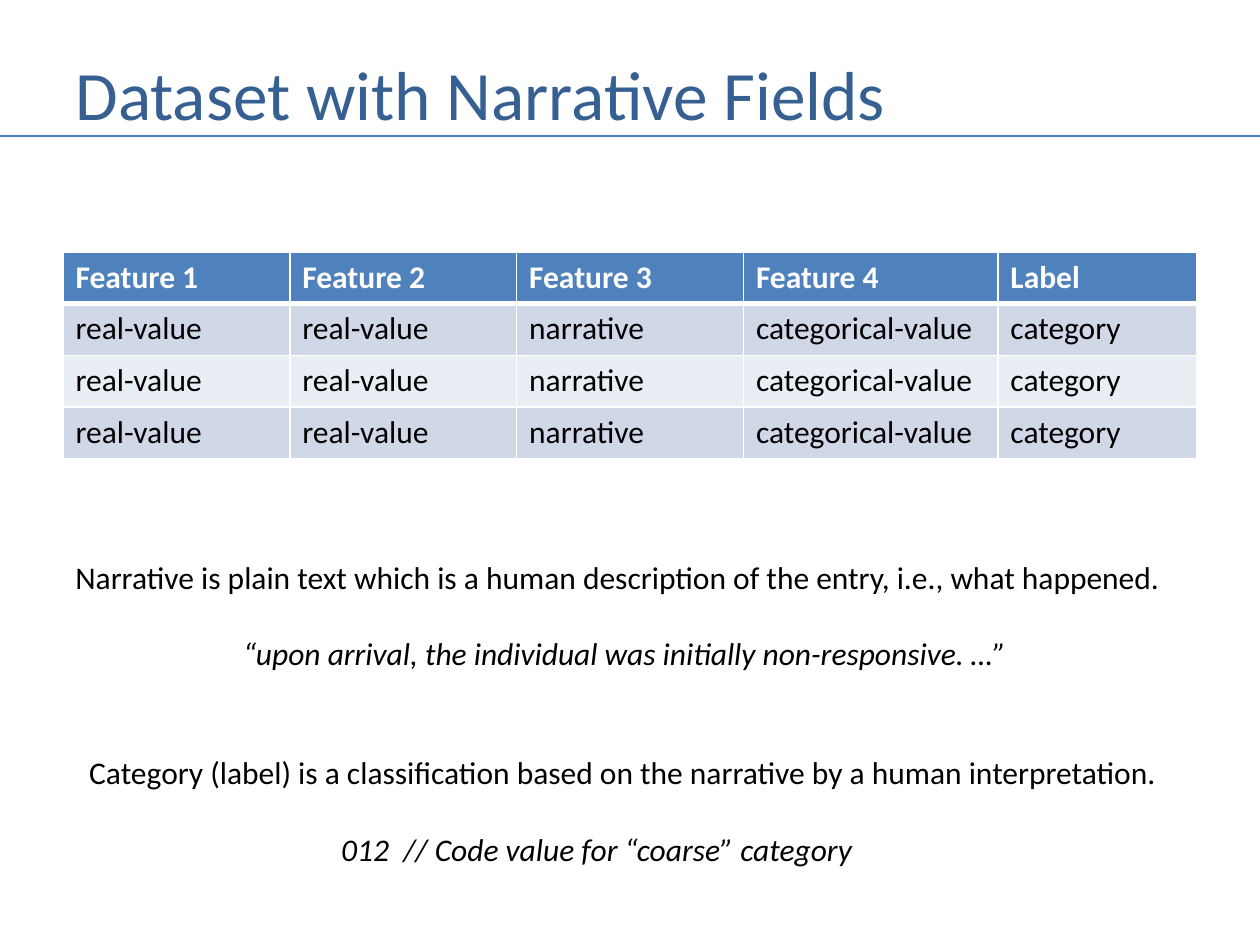
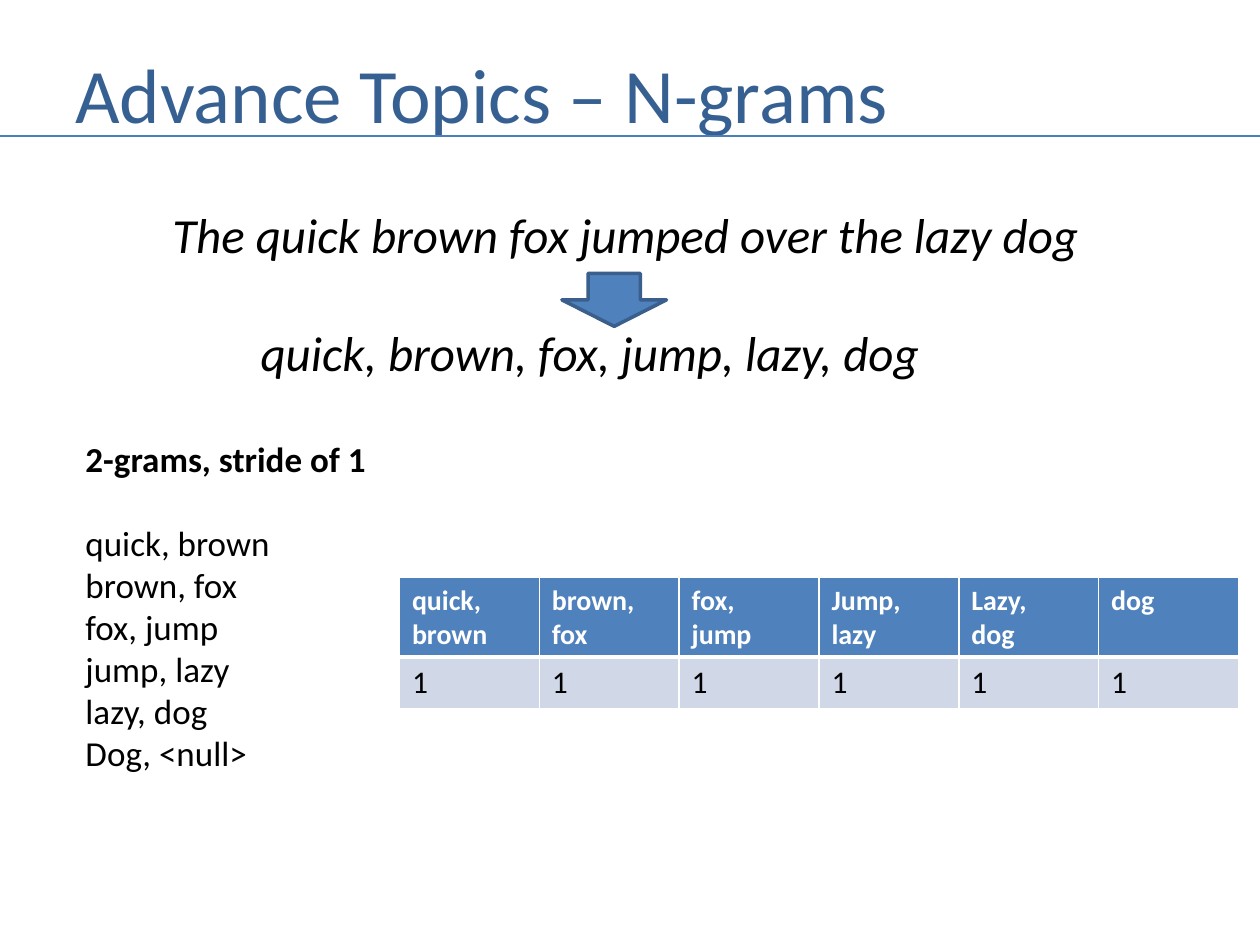
"""Build two slides on narrative fields and n-grams."""
from dataclasses import dataclass
from typing import Any

import lxml.etree
import pptx
import pptx.dml.color
import pptx.enum.shapes
import pptx.enum.text
import pptx.oxml.ns
import pptx.util

Inches = pptx.util.Inches
Pt = pptx.util.Pt
qn = pptx.oxml.ns.qn
Align = pptx.enum.text.PP_ALIGN
Anchor = pptx.enum.text.MSO_ANCHOR
Kind = pptx.enum.shapes.MSO_SHAPE
Link = pptx.enum.shapes.MSO_CONNECTOR

FONT = "Calibri"
BLACK, WHITE = "000000", "FFFFFF"
TITLE, RULE = "376092", "4B7EBC"
BLUE, EDGE = "4F81BD", "3A5F8C"
BANDS = ("D0D8E8", "E9EDF4")
ROW = 0.41


@dataclass
class Line:
    """One paragraph with its style; gap is points above, indent is inches."""
    text: str
    size: float = 18
    color: str = BLACK
    bold: bool = False
    italic: bool = False
    gap: float = 0
    indent: float = 0
    align: Any = Align.LEFT


@dataclass
class Grid:
    """A table: place, column widths, header height and size, and words."""
    left: float
    top: float
    cols: list[float]
    head: float
    size: float
    rows: list[list[str]]


def tint(code: str) -> pptx.dml.color.RGBColor:
    """Turn a hex string into a colour."""
    return pptx.dml.color.RGBColor.from_string(code)


def style(para: Any, line: Line) -> None:
    """Format a paragraph and its runs."""
    para.alignment = line.align
    para.space_before = Pt(line.gap)
    if line.indent:
        para._p.get_or_add_pPr().set("marL", str(Inches(line.indent)))
    for run in para.runs:
        font = run.font
        font.name, font.size = FONT, Pt(line.size)
        font.bold, font.italic = line.bold, line.italic
        font.color.rgb = tint(line.color)


def write(slide: Any, box: tuple, lines: list[Line],
          anchor: Any = Anchor.TOP) -> None:
    """Add a text box holding the lines."""
    frame = slide.shapes.add_textbox(*map(Inches, box)).text_frame
    frame.word_wrap = True
    frame.vertical_anchor = anchor
    frame.text = "\n".join(line.text for line in lines)
    for para, line in zip(frame.paragraphs, lines):
        style(para, line)


def start(deck: Any, title: str, size: float) -> Any:
    """Add a slide with its title and the rule below it."""
    slide = deck.slides.add_slide(deck.slide_layouts[6])
    write(slide, (0.5, 0.3, 8.58, 0.87), [Line(title, size, TITLE)],
          Anchor.MIDDLE)
    rule = slide.shapes.add_connector(
        Link.STRAIGHT, 0, Inches(1.08), Inches(10), Inches(1.08))
    rule.line.color.rgb = tint(RULE)
    rule.line.width = Pt(1.5)
    lxml.etree.SubElement(rule._element.spPr, qn("a:effectLst"))
    return slide


def border(cell: Any, widths: dict[str, float]) -> None:
    """Give the cell white borders, widths in points by side."""
    props = cell._tc.get_or_add_tcPr()
    for place, (side, width) in enumerate(widths.items()):
        edge = lxml.etree.Element(qn("a:ln" + side), w=str(Pt(width)))
        fill = lxml.etree.SubElement(edge, qn("a:solidFill"))
        lxml.etree.SubElement(fill, qn("a:srgbClr"), val=WHITE)
        props.insert(place, edge)


def table(slide: Any, grid: Grid) -> None:
    """Draw a table with a blue header and banded rows."""
    count = len(grid.rows)
    high = grid.head + ROW * (count - 1)
    made = slide.shapes.add_table(
        count, len(grid.cols), Inches(grid.left), Inches(grid.top),
        Inches(sum(grid.cols)), Inches(high)).table
    for col, width in zip(made.columns, grid.cols):
        col.width = Inches(width)
    for r, words in enumerate(grid.rows):
        first = r == 0
        made.rows[r].height = Inches(grid.head if first else ROW)
        look = Line("", grid.size, WHITE, bold=True) if first else Line("")
        for c, word in enumerate(words):
            cell = made.cell(r, c)
            cell.fill.solid()
            cell.fill.fore_color.rgb = tint(
                BLUE if first else BANDS[(r - 1) % 2])
            border(cell, {"L": 1, "R": 1, "T": 3 if r == 1 else 1,
                          "B": 3 if first else 1})
            cell.text_frame.text = word
            for para in cell.text_frame.paragraphs:
                style(para, look)


def arrow(slide: Any) -> None:
    """Draw the arrow from the sentence to its key words."""
    shape = slide.shapes.add_shape(
        Kind.DOWN_ARROW, Inches(4.46), Inches(2.17), Inches(0.83),
        Inches(0.42))
    shape.shadow.inherit = False
    shape.fill.solid()
    shape.fill.fore_color.rgb = tint(BLUE)
    shape.line.color.rgb = tint(EDGE)
    shape.line.width = Pt(2)


def fields(deck: Any) -> None:
    """Build the slide on narrative fields."""
    slide = start(deck, "Dataset with Narrative Fields", 39.6)
    names = [f"Feature {n}" for n in range(1, 5)] + ["Label"]
    entry = ["real-value", "real-value", "narrative", "categorical-value",
             "category"]
    table(slide, Grid(0.5, 2, [1.8, 1.8, 1.8, 2.02, 1.58], ROW, 18,
                      [names] + [entry] * 3))
    write(slide, (0.5, 4.38, 8.92, 1.01), [
        Line("Narrative is plain text which is a human description of the "
             "entry, i.e., what happened."),
        Line("“upon arrival, the individual was initially non-responsive. …”",
             italic=True, gap=22, align=Align.CENTER)])
    write(slide, (0.61, 5.93, 8.78, 1.01), [
        Line("Category (label) is a classification based on the narrative "
             "by a human interpretation."),
        Line("012  // Code value for “coarse” category",
             italic=True, gap=22, indent=2)])


def grams(deck: Any) -> None:
    """Build the slide on n-grams."""
    slide = start(deck, "Advance Topics – N-grams", 44)
    write(slide, (1.27, 1.57, 7.47, 1.51), [
        Line("The quick brown fox jumped over the lazy dog", 28, italic=True),
        Line("quick, brown, fox, jump, lazy, dog", 28, italic=True, gap=34,
             indent=0.7)])
    arrow(slide)
    pairs = ["quick, brown", "brown, fox", "fox, jump", "jump, lazy",
             "lazy, dog", "Dog, <null>"]
    write(slide, (0.58, 3.42, 2.45, 2.79),
          [Line("2-grams, stride of 1", 20, bold=True)]
          + [Line(pair, 20, gap=0 if n else 24)
             for n, pair in enumerate(pairs)])
    heads = ["quick,\vbrown", "brown,\vfox", "fox,\njump", "Jump,\nlazy",
             "Lazy,\ndog", "dog"]
    table(slide, Grid(3.17, 4.58, [1.11] * 6, 0.63, 16, [heads, ["1"] * 6]))


def main() -> None:
    """Build and save the deck."""
    deck = pptx.Presentation()
    deck.slide_width, deck.slide_height = Inches(10), Inches(7.5)
    fields(deck)
    grams(deck)
    deck.save("out.pptx")


main()
